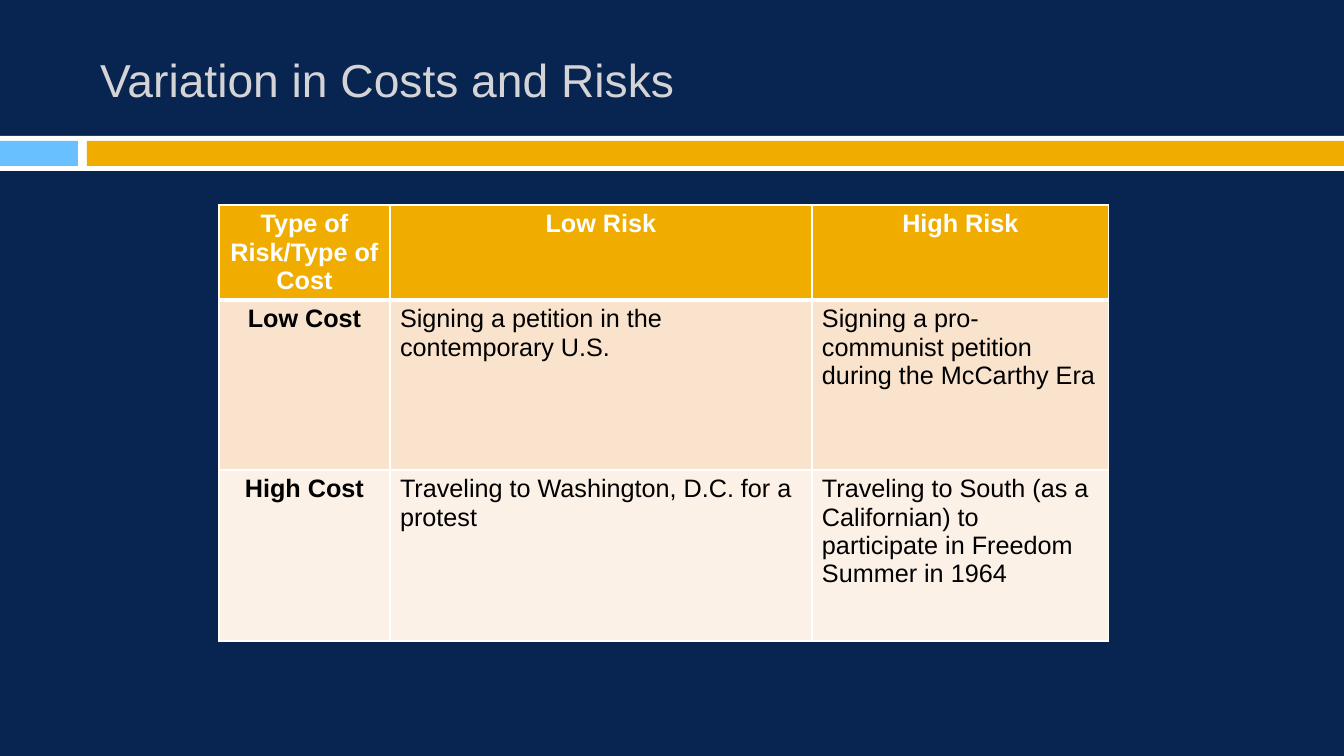
"""Build a slide with a table of protest examples by cost and risk."""
import pptx
import pptx.dml.color
import pptx.enum.shapes
import pptx.enum.text
import pptx.oxml
import pptx.oxml.ns
import pptx.util

PX = 914400 / 100.8
NAVY = pptx.dml.color.RGBColor(0x08, 0x25, 0x51)
WHITE = pptx.dml.color.RGBColor(0xFF, 0xFF, 0xFF)
BLACK = pptx.dml.color.RGBColor(0x00, 0x00, 0x00)
SKY = pptx.dml.color.RGBColor(0x69, 0xC0, 0xFF)
GOLD = pptx.dml.color.RGBColor(0xF0, 0xAD, 0x00)
SILVER = pptx.dml.color.RGBColor(0xD4, 0xD4, 0xD6)
PEACH = pptx.dml.color.RGBColor(0xF9, 0xE3, 0xCC)
CREAM = pptx.dml.color.RGBColor(0xFC, 0xF1, 0xE7)


def px(*lengths):
    """Turn pixel lengths into EMU."""
    return [pptx.util.Emu(round(length * PX)) for length in lengths]


def add_border(cell, side, points):
    """Draw a white line on one side of a cell."""
    cell._tc.get_or_add_tcPr().append(pptx.oxml.parse_xml(
        f'<a:{side} {pptx.oxml.ns.nsdecls("a")} w="{pptx.util.Pt(points)}">'
        f'<a:solidFill><a:srgbClr val="{WHITE}"/></a:solidFill></a:{side}>'))


deck = pptx.Presentation()
deck.slide_width, deck.slide_height = px(1344, 756)
page = deck.slides.add_slide(deck.slide_layouts[5])
page.background.fill.solid()
page.background.fill.fore_color.rgb = NAVY

title = page.shapes.title
title.left, title.top, title.width, title.height = px(90, 25, 1198, 109)
frame = title.text_frame
frame.text = "Variation in Costs and Risks"
frame.auto_size = pptx.enum.text.MSO_AUTO_SIZE.NONE
frame.vertical_anchor = pptx.enum.text.MSO_ANCHOR.MIDDLE
para = frame.paragraphs[0]
para.alignment = pptx.enum.text.PP_ALIGN.LEFT
para.font.name = "Arial"
para.font.size = pptx.util.Pt(33)
para.font.color.rgb = SILVER

bars = [
    (0, 136, 1344, 35, WHITE),
    (0, 141, 78, 25, SKY),
    (87, 141, 1257, 25, GOLD),
]
for left, top, width, height, color in bars:
    bar = page.shapes.add_shape(
        pptx.enum.shapes.MSO_SHAPE.RECTANGLE, *px(left, top, width, height))
    bar.shadow.inherit = False
    bar.fill.solid()
    bar.fill.fore_color.rgb = color
    bar.line.fill.background()

column_widths = [171, 422, 297]
row_heights = [95, 170, 171]
row_fills = [GOLD, PEACH, CREAM]
rows = [
    ["Type of Risk/Type of Cost", "Low Risk", "High Risk"],
    ["Low Cost", "Signing a petition in the contemporary U.S.",
     "Signing a pro-communist petition during the McCarthy Era"],
    ["High Cost", "Traveling to Washington, D.C. for a protest",
     "Traveling to South (as a Californian) to participate in Freedom Summer in 1964"],
]
table = page.shapes.add_table(
    len(rows), len(column_widths),
    *px(219, 205, sum(column_widths), sum(row_heights))).table
for column, width in zip(table.columns, px(*column_widths)):
    column.width = width
for row, height in zip(table.rows, px(*row_heights)):
    row.height = height

for row_index, texts in enumerate(rows):
    for column_index, text in enumerate(texts):
        cell = table.cell(row_index, column_index)
        is_heading = row_index == 0 or column_index == 0
        add_border(cell, "lnL", 1)
        add_border(cell, "lnR", 1)
        add_border(cell, "lnT", 3 if row_index == 1 else 1)
        add_border(cell, "lnB", 3 if row_index == 0 else 1)
        cell.fill.solid()
        cell.fill.fore_color.rgb = row_fills[row_index]
        cell.text = text
        para = cell.text_frame.paragraphs[0]
        if is_heading:
            para.alignment = pptx.enum.text.PP_ALIGN.CENTER
        para.font.name = "Arial"
        para.font.size = pptx.util.Pt(18)
        para.font.bold = is_heading
        para.font.color.rgb = WHITE if row_index == 0 else BLACK

deck.save("out.pptx")
